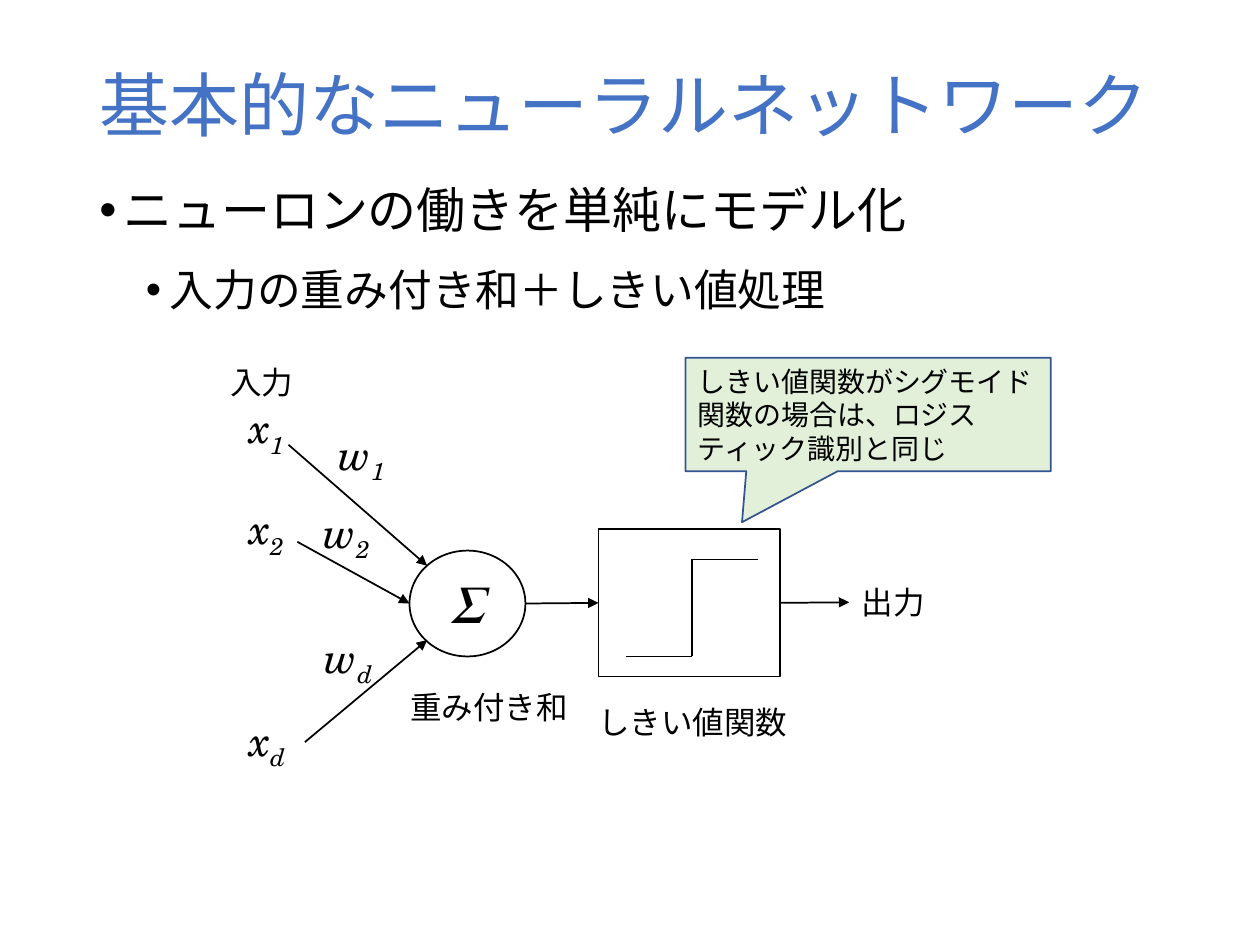
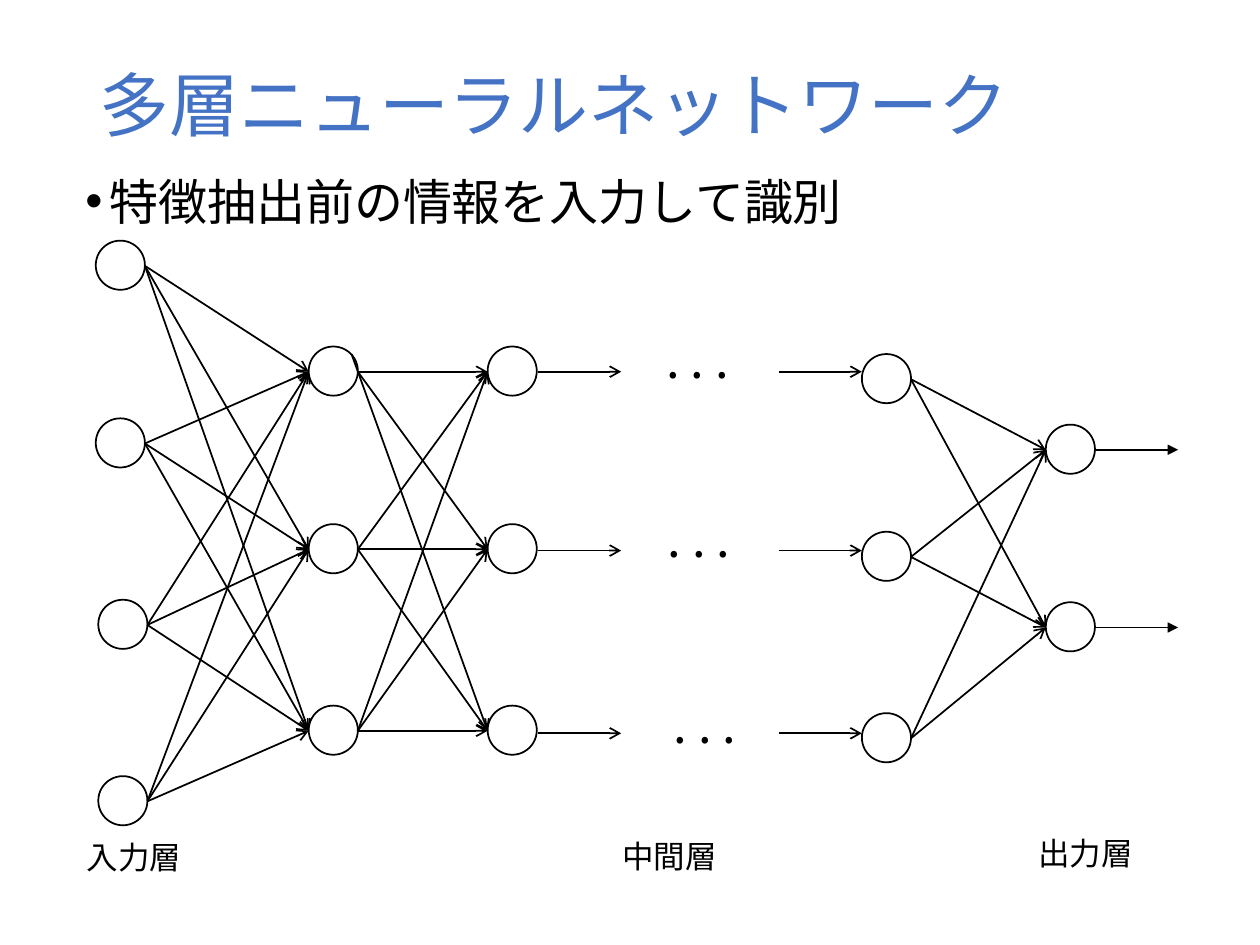
from dataclasses import dataclass
from itertools import product
from typing import Optional

import lxml.etree
import pptx
import pptx.dml.color
import pptx.enum.lang
import pptx.enum.shapes
import pptx.enum.text
import pptx.oxml.ns
import pptx.util

EMU_PER_PX = 9144  # 100 px to the inch
NODE_SIZE = 39

qn = pptx.oxml.ns.qn
Shape = pptx.enum.shapes.MSO_SHAPE
Align = pptx.enum.text.PP_ALIGN
Anchor = pptx.enum.text.MSO_ANCHOR


@dataclass(frozen=True)
class Theme:
    title_color: str = "4472C4"
    ink: str = "000000"
    note_fill: str = "E2F0D9"
    note_line: str = "325491"
    font: str = "Noto Sans CJK JP"
    math_font: str = "TeX Gyre Schola"
    bullet_font: str = "Arial"
    title_size: int = 40
    body_size: int = 28
    sub_size: int = 25
    symbol_size: int = 24
    label_size: int = 18
    note_size: int = 16
    line_width: int = 1


THEME = Theme()


@dataclass(frozen=True)
class Box:
    left: int
    top: int
    width: int
    height: int


@dataclass(frozen=True)
class Bullet:
    text: str
    size: int
    margin: int
    before: float
    level: int = 0


@dataclass(frozen=True)
class Label:
    text: str
    box: Box
    subscript: str = ""


@dataclass(frozen=True)
class Arrow:
    start: tuple[int, int]
    end: tuple[int, int]


@dataclass(frozen=True)
class Node:
    left: int
    top: int

    @property
    def inlet(self) -> tuple[int, int]:
        return self.left, self.top + 20

    @property
    def outlet(self) -> tuple[int, int]:
        return self.left + NODE_SIZE, self.top + 20


def px(length: int) -> pptx.util.Emu:
    return pptx.util.Emu(length * EMU_PER_PX)


def rgb(color: str) -> pptx.dml.color.RGBColor:
    return pptx.dml.color.RGBColor.from_string(color)


def bounds(box: Box) -> tuple:
    return px(box.left), px(box.top), px(box.width), px(box.height)


# Text
def write(paragraph, text: str, *, size: int = THEME.label_size, font: str = THEME.font,
          color: str = THEME.ink, italic: bool = False, subscript: bool = False) -> None:
    run = paragraph.add_run()
    run.text = text
    run.font.size = pptx.util.Pt(size)
    run.font.name = font
    run.font.color.rgb = rgb(color)
    run.font.language_id = pptx.enum.lang.MSO_LANGUAGE_ID.JAPANESE
    if italic:
        run.font.italic = True
    properties = run._r.get_or_add_rPr()
    lxml.etree.SubElement(properties, qn("a:ea")).set("typeface", font)
    if subscript:
        properties.set("baseline", "-25000")


def add_frame(slide, box: Box, wrap: bool = True):
    frame = slide.shapes.add_textbox(*bounds(box)).text_frame
    frame.word_wrap = wrap
    if not wrap:
        frame.auto_size = pptx.enum.text.MSO_AUTO_SIZE.SHAPE_TO_FIT_TEXT
    return frame


def add_label(slide, label: Label, size: int = THEME.label_size) -> None:
    paragraph = add_frame(slide, label.box, wrap=False).paragraphs[0]
    write(paragraph, label.text, size=size)


def add_symbol(slide, label: Label) -> None:
    paragraph = add_frame(slide, label.box, wrap=False).paragraphs[0]
    for text, lowered in ((label.text, False), (label.subscript, True)):
        write(paragraph, text, size=THEME.symbol_size, font=THEME.math_font,
              italic=True, subscript=lowered)


def add_title(slide, text: str) -> None:
    frame = add_frame(slide, Box(69, 40, 862, 93))
    frame.vertical_anchor = Anchor.MIDDLE
    frame.paragraphs[0].line_spacing = 0.9
    write(frame.paragraphs[0], text, size=THEME.title_size, color=THEME.title_color)


def add_bullets(slide, box: Box, bullets: list[Bullet]) -> None:
    frame = add_frame(slide, box)
    for index, bullet in enumerate(bullets):
        paragraph = frame.add_paragraph() if index else frame.paragraphs[0]
        paragraph.level = bullet.level
        paragraph.line_spacing = pptx.util.Pt(40)
        paragraph.space_before = pptx.util.Pt(bullet.before)
        properties = paragraph._p.get_or_add_pPr()
        properties.set("marL", str(px(bullet.margin)))
        properties.set("indent", str(px(-19)))
        lxml.etree.SubElement(properties, qn("a:buFont")).set("typeface", THEME.bullet_font)
        lxml.etree.SubElement(properties, qn("a:buChar")).set("char", "•")
        write(paragraph, bullet.text, size=bullet.size)


# Shapes and lines
def add_outline(slide, preset, box: Box, fill: Optional[str] = None, line: str = THEME.ink):
    shape = slide.shapes.add_shape(preset, *bounds(box))
    shape.shadow.inherit = False
    if fill:
        shape.fill.solid()
        shape.fill.fore_color.rgb = rgb(fill)
    else:
        shape.fill.background()
    shape.line.color.rgb = rgb(line)
    shape.line.width = pptx.util.Pt(THEME.line_width)
    shape.text_frame.vertical_anchor = Anchor.MIDDLE
    return shape


def add_line(slide, arrow: Arrow, head: Optional[str] = None):
    line = slide.shapes.add_connector(
        pptx.enum.shapes.MSO_CONNECTOR.STRAIGHT, *map(px, arrow.start + arrow.end))
    line.line.color.rgb = rgb(THEME.ink)
    line.line.width = pptx.util.Pt(THEME.line_width)
    properties = line.element.spPr
    if head:
        lxml.etree.SubElement(properties.find(qn("a:ln")), qn("a:tailEnd")).set("type", head)
    lxml.etree.SubElement(properties, qn("a:effectLst"))
    return line


def new_slide(deck, title: str):
    slide = deck.slides.add_slide(deck.slide_layouts[6])
    add_title(slide, title)
    return slide


# Slide 1: a single neuron
def build_neuron(deck) -> None:
    slide = new_slide(deck, "基本的なニューラルネットワーク")
    add_bullets(slide, Box(69, 129, 885, 543), [
        Bullet("ニューロンの働きを単純にモデル化", THEME.body_size, 19, 7.5),
        Bullet("入力の重み付き和＋しきい値処理", THEME.sub_size, 56, 3.8, level=1),
    ])

    # Weighted sum and threshold
    weighted_sum = add_outline(slide, Shape.OVAL, Box(325, 437, 92, 84))
    sigma = weighted_sum.text_frame.paragraphs[0]
    sigma.alignment = Align.CENTER
    write(sigma, "Σ", size=THEME.body_size, font=THEME.math_font, italic=True)
    threshold = add_outline(slide, Shape.RECTANGLE, Box(475, 420, 144, 117))
    step = [(497, 521), (549, 521), (549, 444), (602, 444)]
    for start, end in zip(step, step[1:]):
        add_line(slide, Arrow(start, end))

    # Signal flow
    for arrow in (Arrow((229, 353), (339, 449)), Arrow((236, 430), (325, 479)),
                  Arrow((242, 589), (339, 508))):
        add_line(slide, arrow, "triangle")
    sum_output = add_line(slide, Arrow((417, 479), (475, 478)), "triangle")
    sum_output.end_connect(threshold, 1)
    result = add_line(slide, Arrow((619, 478), (674, 478)), "triangle")
    result.begin_connect(threshold, 3)

    # Inputs, weights and captions
    for symbol in (
        Label("x", Box(188, 314, 49, 50), "1"),
        Label("x", Box(188, 394, 49, 50), "2"),
        Label("x", Box(188, 562, 51, 50), "d"),
        Label("w", Box(259, 335, 59, 50), "1"),
        Label("w", Box(247, 397, 59, 50), "2"),
        Label("w", Box(248, 496, 60, 50), "d"),
    ):
        add_symbol(slide, symbol)
    for caption in (
        Label("入力", Box(173, 283, 71, 40)),
        Label("重み付き和", Box(316, 541, 146, 40)),
        Label("しきい値関数", Box(465, 553, 172, 40)),
        Label("出力", Box(674, 458, 71, 40)),
    ):
        add_label(slide, caption)

    # Note on the sigmoid case
    note = add_outline(slide, Shape.RECTANGULAR_CALLOUT, Box(544, 284, 290, 90),
                       fill=THEME.note_fill, line=THEME.note_line)
    note.adjustments[0], note.adjustments[1] = -0.345, 0.95
    note.text_frame.word_wrap = True
    note.text_frame.paragraphs[0].alignment = Align.LEFT
    write(note.text_frame.paragraphs[0],
          "しきい値関数がシグモイド関数の場合は、ロジスティック識別と同じ", size=THEME.note_size)


# Slide 2: a multilayer network
def build_multilayer(deck) -> None:
    slide = new_slide(deck, "多層ニューラルネットワーク")
    add_bullets(slide, Box(58, 122, 885, 543), [
        Bullet("特徴抽出前の情報を入力して識別", THEME.body_size, 19, 7.5),
    ])

    # Layers
    inputs = [Node(76, 191), Node(76, 332), Node(78, 476), Node(78, 616)]
    first_hidden, second_hidden = (
        [Node(left, top) for top in (275, 416, 560)] for left in (245, 387))
    last_hidden = [Node(684, top) for top in (281, 422, 566)]
    outputs = [Node(830, top) for top in (337, 478)]
    for node in inputs + first_hidden + second_hidden + last_hidden + outputs:
        add_outline(slide, Shape.OVAL, Box(node.left, node.top, NODE_SIZE, NODE_SIZE))

    # Full connections; one link leaves from the rim of its node
    rim_starts = {(first_hidden[0], second_hidden[2]): (279, 281)}
    for sources, targets in ((inputs, first_hidden), (first_hidden, second_hidden),
                             (last_hidden, outputs)):
        for source, target in product(sources, targets):
            start = rim_starts.get((source, target), source.outlet)
            add_line(slide, Arrow(start, target.inlet), "arrow")

    # Links into and out of the omitted layers, and the results
    for left, y in product((427, 618), (295, 437, 582)):
        add_line(slide, Arrow((left, y), (left + 66, y)), "arrow")
    for node in outputs:
        x, y = node.outlet
        add_line(slide, Arrow((x, y), (x + 66, y)), "triangle")

    for left, top in ((519, 257), (520, 399), (525, 546)):
        add_label(slide, Label(". . .", Box(left, top, 73, 57)), THEME.body_size)
    for text, left, top in (("入力層", 59, 660), ("中間層", 484, 659), ("出力層", 814, 657)):
        add_label(slide, Label(text, Box(left, top, 96, 40)))


def main() -> None:
    deck = pptx.Presentation()
    deck.slide_width, deck.slide_height = px(1000), px(750)
    build_neuron(deck)
    build_multilayer(deck)
    deck.save("out.pptx")


if __name__ == "__main__":
    main()
